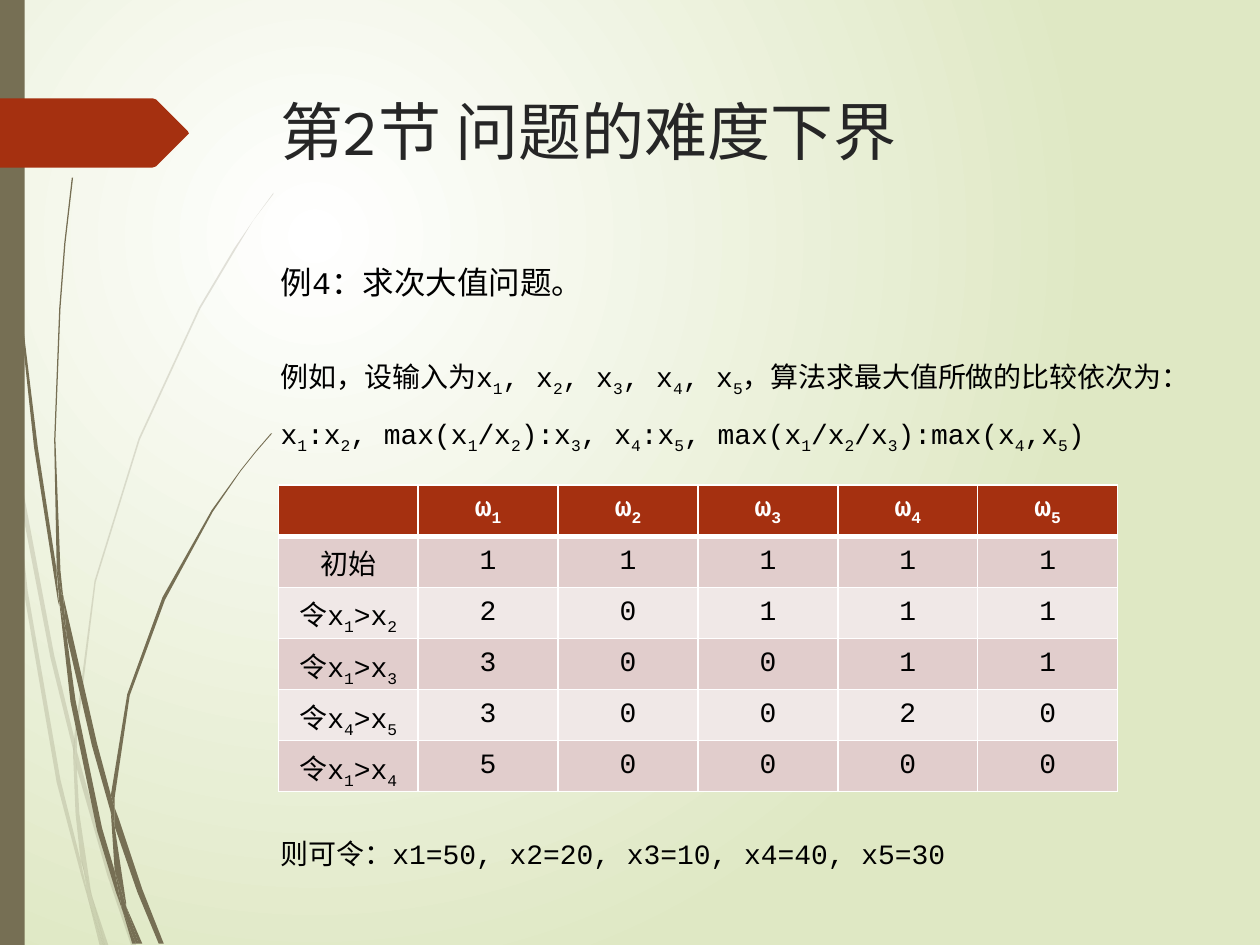
import pptx
import pptx.dml.color
import pptx.enum.shapes
import pptx.enum.text
import pptx.oxml
import pptx.oxml.ns
import pptx.util
from dataclasses import dataclass

Cm = pptx.util.Cm
Pt = pptx.util.Pt
RGB = pptx.dml.color.RGBColor.from_string
qn = pptx.oxml.ns.qn
DRAWING = pptx.oxml.ns.nsdecls("a")


@dataclass
class Theme:
    glow: str = "FFFFFF"
    background: str = "DFE8C4"
    stem: str = "766F54"
    accent: str = "A53010"
    title: str = "262626"
    text: str = "000000"
    white: str = "FFFFFF"
    bands: tuple = ("F0E8E7", "E1CDCC")
    title_font: str = "League Spartan"
    text_font: str = "Courier New"
    title_size: int = 36
    example_size: int = 18
    text_size: int = 16


theme = Theme()


def write(paragraph, text, size, color, bold=False):
    paragraph.font.name = theme.text_font
    paragraph.font.size = Pt(size)
    paragraph.font.bold = bold
    paragraph.font.color.rgb = RGB(color)
    first, *rest = text.split("_")
    paragraph.add_run().text = first
    for part in rest:
        subscript = paragraph.add_run()
        subscript.text = part[0]
        subscript._r.get_or_add_rPr().set("baseline", "-25000")
        if part[1:]:
            paragraph.add_run().text = part[1:]


def draw_outline(shapes, points, color):
    builder = shapes.build_freeform(*points[0], scale=Cm(0.0254))
    builder.add_line_segments(points[1:], close=True)
    shape = builder.convert_to_shape()
    shape.shadow.inherit = False
    shape.fill.solid()
    shape.fill.fore_color.rgb = RGB(color)
    shape.line.fill.background()
    return shape


presentation = pptx.Presentation()
presentation.slide_width = Cm(25.4)
presentation.slide_height = Cm(19.05)
slide = presentation.slides.add_slide(presentation.slide_layouts[5])

background_fill = slide.background.fill
background_fill.gradient()
for stop, color in zip(background_fill.gradient_stops, (theme.glow, theme.background)):
    stop.color.rgb = RGB(color)
gradient = slide._element.find(".//" + qn("a:gradFill"))
gradient.remove(gradient.find(qn("a:lin")))
gradient.append(pptx.oxml.parse_xml(
    f'<a:path {DRAWING} path="circle">'
    '<a:fillToRect l="50000" t="50000" r="100000" b="100000"/></a:path>'))

pale_stems = [
    [(8, 350), (6, 322), (0, 282), (0, 299), (7, 344)],
    [(40, 522), (59, 599), (59, 586), (43, 520), (10, 345), (12, 376)],
    [(64, 607), (61, 596), (61, 610), (85, 694), (104, 750), (108, 750), (88, 692)],
    [(83, 750), (86, 750), (73, 711)],
    [(64, 683), (48, 619), (22, 469), (12, 376), (8, 350), (19, 470), (45, 621),
     (64, 693), (70, 714), (69, 707)],
    [(58, 599), (60, 646), (64, 683), (67, 692), (73, 711), (72, 706), (63, 646),
     (61, 610), (61, 608)],
    [(61, 584), (76, 462), (111, 349), (159, 245), (187, 198), (201, 175), (217, 154),
     (217, 153), (201, 175), (186, 197), (158, 244), (110, 348), (75, 461), (59, 584),
     (59, 586), (61, 596)],
    [(70, 714), (79, 750), (82, 750)],
    [(61, 608), (61, 610), (61, 596), (59, 586), (58, 599)],
    [(67, 692), (65, 683), (69, 707), (70, 714), (82, 750), (83, 750), (73, 711)],
]
dark_stems = [
    [(5, 110), (14, 233), (27, 355), (46, 477), (47, 481), (45, 457), (45, 453),
     (30, 355), (15, 232), (6, 109), (4, 48), (3, 0), (2, 0), (3, 48)],
    [(73, 592), (88, 645), (88, 633), (88, 631), (77, 590), (50, 472), (53, 505)],
    [(94, 649), (91, 641), (91, 656), (109, 708), (126, 749), (130, 749), (113, 706)],
    [(91, 691), (81, 657), (60, 556), (53, 505), (47, 477), (56, 557), (77, 659),
     (92, 708), (97, 722), (96, 717)],
    [(50, 472), (48, 453), (44, 349), (48, 245), (52, 193), (58, 141), (57, 141),
     (51, 193), (47, 245), (43, 349), (45, 449), (49, 472)],
    [(110, 749), (113, 749), (100, 719)],
    [(47, 477), (53, 505), (50, 472), (49, 472), (45, 449), (45, 453)],
    [(91, 633), (103, 552), (131, 476), (169, 406), (191, 374), (203, 359), (216, 344),
     (215, 344), (203, 358), (191, 373), (168, 405), (129, 474), (101, 551), (88, 631),
     (91, 641)],
    [(97, 722), (105, 749), (108, 749)],
    [(88, 645), (91, 691), (96, 706), (100, 719), (100, 716), (91, 656), (90, 651)],
    [(88, 645), (90, 651), (91, 656), (91, 641), (88, 631), (88, 633)],
    [(96, 706), (91, 691), (96, 717), (97, 722), (108, 749), (110, 749), (100, 719)],
]
for stems, opacity in ((pale_stems, 20), (dark_stems, 100)):
    group = slide.shapes.add_group_shape()
    for points in stems:
        stem = draw_outline(group.shapes, points, theme.stem)
        if opacity < 100:
            stem._element.spPr.find(".//" + qn("a:srgbClr")).append(
                pptx.oxml.parse_xml(f'<a:alpha {DRAWING} val="{opacity * 1000}"/>'))

side_bar = slide.shapes.add_shape(
    pptx.enum.shapes.MSO_SHAPE.RECTANGLE, 0, 0, Cm(0.5), Cm(19.05))
side_bar.shadow.inherit = False
side_bar.fill.solid()
side_bar.fill.fore_color.rgb = RGB(theme.stem)
side_bar.line.fill.background()

arrow_tag = [(0, 78), (121, 78), (124, 79), (149, 104), (150, 106), (149, 107),
             (124, 132), (121, 133), (0, 133)]
draw_outline(slide.shapes, arrow_tag, theme.accent)

title = slide.shapes.title
title.left, title.top, title.width, title.height = Cm(5.41), Cm(1.73), Cm(18.31), Cm(3.56)
title.text_frame.text = "第2节 问题的难度下界"
title.text_frame.vertical_anchor = pptx.enum.text.MSO_ANCHOR.TOP
title.text_frame.auto_size = pptx.enum.text.MSO_AUTO_SIZE.NONE
heading = title.text_frame.paragraphs[0]
heading.alignment = pptx.enum.text.PP_ALIGN.LEFT
heading.font.name = theme.title_font
heading.font.size = Pt(theme.title_size)
heading.font.color.rgb = RGB(theme.title)

comparisons = (
    "例如，设输入为x_1, x_2, x_3, x_4, x_5，算法求最大值所做的比较依次为："
    "x_1:x_2, max(x_1/x_2):x_3, x_4:x_5, max(x_1/x_2/x_3):max(x_4,x_5)")
notes = [
    (6.73, 19.28, 2.24, comparisons, theme.text_size, True, 1.5),
    (16.74, 14.1, 0.94, "则可令：x1=50, x2=20, x3=10, x4=40, x5=30", theme.text_size, False, 1),
    (5.18, 6.65, 1.02, "例4：求次大值问题。", theme.example_size, False, 1),
]
for top, width, height, text, size, wraps, spacing in notes:
    box = slide.shapes.add_textbox(Cm(5.41), Cm(top), Cm(width), Cm(height))
    box.text_frame.word_wrap = wraps
    box.text_frame.auto_size = pptx.enum.text.MSO_AUTO_SIZE.SHAPE_TO_FIT_TEXT
    paragraph = box.text_frame.paragraphs[0]
    paragraph.line_spacing = spacing
    write(paragraph, text, size, theme.text)

rows = [
    ["", "ω_1", "ω_2", "ω_3", "ω_4", "ω_5"],
    ["初始", "1", "1", "1", "1", "1"],
    ["令x_1>x_2", "2", "0", "1", "1", "1"],
    ["令x_1>x_3", "3", "0", "0", "1", "1"],
    ["令x_4>x_5", "3", "0", "0", "2", "0"],
    ["令x_1>x_4", "5", "0", "0", "0", "0"],
]
table = slide.shapes.add_table(
    len(rows), len(rows[0]), Cm(5.61), Cm(9.78), Cm(16.92), Cm(6.18)).table
for row_index, row in enumerate(rows):
    is_header = row_index == 0
    for column_index, text in enumerate(row):
        cell = table.cell(row_index, column_index)
        cell.vertical_anchor = pptx.enum.text.MSO_ANCHOR.MIDDLE
        properties = cell._tc.get_or_add_tcPr()
        for side in ("lnL", "lnR", "lnT", "lnB"):
            thick = (is_header and side == "lnB") or (row_index == 1 and side == "lnT")
            properties.append(pptx.oxml.parse_xml(
                f'<a:{side} {DRAWING} w="{Pt(3 if thick else 1)}"><a:solidFill>'
                f'<a:srgbClr val="{theme.white}"/></a:solidFill></a:{side}>'))
        cell.fill.solid()
        cell.fill.fore_color.rgb = RGB(theme.accent if is_header else theme.bands[row_index % 2])
        paragraph = cell.text_frame.paragraphs[0]
        paragraph.alignment = pptx.enum.text.PP_ALIGN.CENTER
        if text:
            write(paragraph, text, theme.text_size,
                  theme.white if is_header else theme.text, is_header)

presentation.save("out.pptx")
